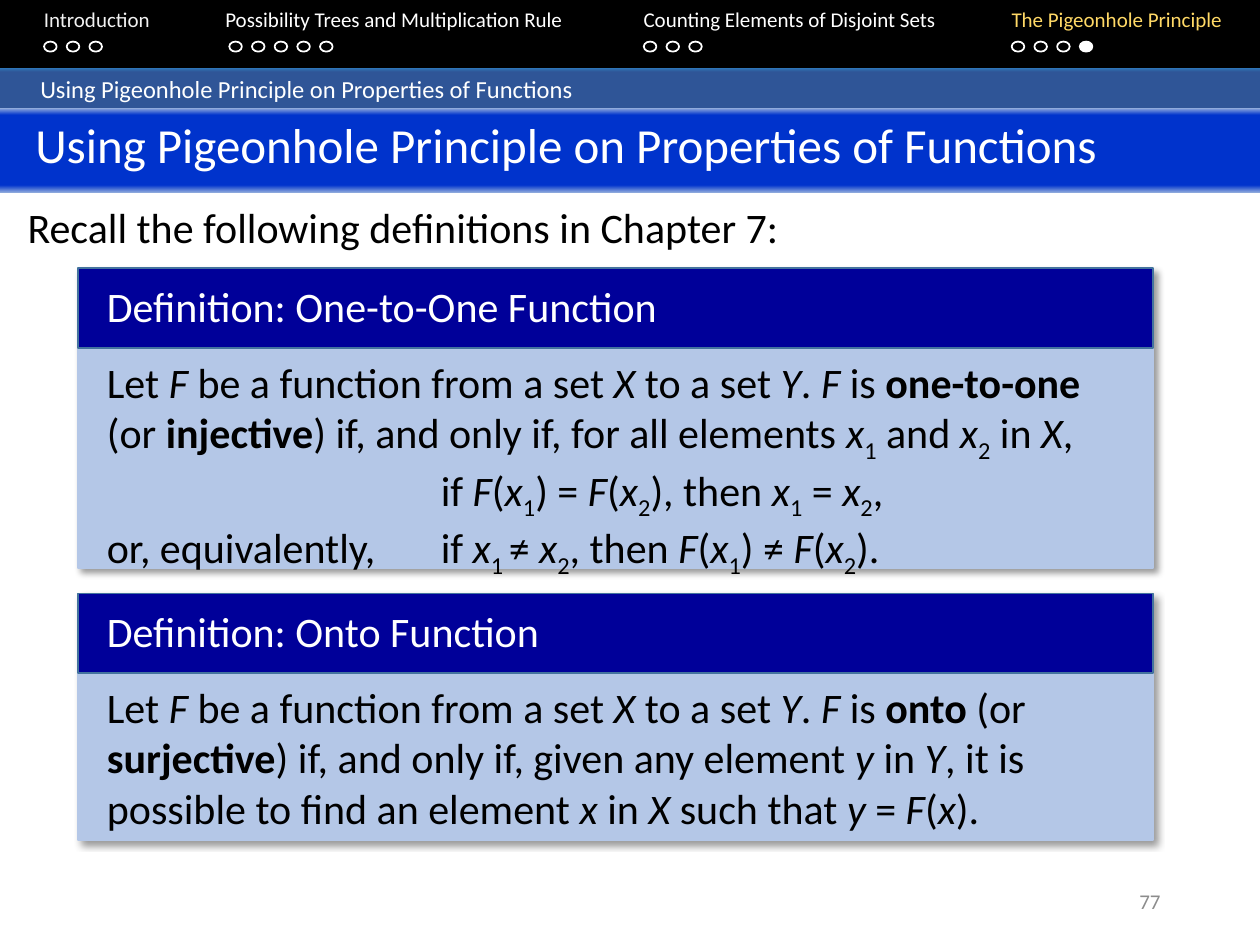
import dataclasses

import lxml.etree
import pptx
import pptx.dml.color
import pptx.enum.shapes
import pptx.enum.text
import pptx.oxml
import pptx.oxml.ns
import pptx.util

SHAPE = pptx.enum.shapes.MSO_SHAPE
ANCHOR = pptx.enum.text.MSO_ANCHOR
ALIGN = pptx.enum.text.PP_ALIGN
qn = pptx.oxml.ns.qn

WIDTH, HEIGHT = pptx.util.Inches(10), pptx.util.Inches(7.5)
COL, ROW = WIDTH / 100, HEIGHT / 75


@dataclasses.dataclass(frozen=True)
class Theme:
    font: str = "Calibri"
    black: str = "000000"
    white: str = "FFFFFF"
    nav_dim: str = "F2F2F2"
    nav_active: str = "FFD966"
    number: str = "8C8C8C"
    panel: str = "B4C7E7"
    heading: str = "000099"
    heading_line: str = "43739E"
    section_bar: tuple = ((0, "2E75B6"), (11, "2F5597"), (91, "2F5597"), (100, "2E75B6"))
    title_bar: tuple = ((0, "8FAADC"), (9, "0033CC"), (92, "0033CC"), (100, "8FAADC"))
    small: int = 12
    section: int = 14
    body: int = 24
    title: int = 28


THEME = Theme()

# label, column of its tab stop, column of its first dot, dots, colour
NAV = [
    ("Introduction", 2.5, 3.5, 3, THEME.nav_dim),
    ("Possibility Trees and Multiplication Rule", 16.9, 18.2, 5, THEME.white),
    ("Counting Elements of Disjoint Sets", 50.1, 51.1, 3, THEME.white),
    ("The Pigeonhole Principle", 79.3, 80.3, 4, THEME.nav_active),
]
TOPIC = "Using Pigeonhole Principle on Properties of Functions"

# In paragraph text, ~ toggles italic, * toggles bold and _ toggles subscript.
ONE_TO_ONE = [
    ("Let ~F~ be a function from a set ~X~ to a set ~Y~. ~F~ is *one-to-one *"
     "(or *injective*) if, and only if, for all elements "
     "~x~_1_ and ~x~_2_ in ~X~,", ()),
    ("\tif ~F~(~x~_1_) = ~F~(~x~_2_), then ~x~_1_ = ~x~_2_,", (26.5,)),
    ("or, equivalently, \tif ~x~_1 _≠ ~x~_2_, then ~F~(~x~_1_) ≠ ~F~(~x~_2_).", (26.5,)),
]
ONTO = [
    ("Let ~F~ be a function from a set ~X~ to a set ~Y~. ~F~ is *onto *"
     "(or *surjective*) if, and only if, given any element ~y~ in ~Y~, it is "
     "possible to find an element ~x~ in ~X~ such that ~y~ = ~F~(~x~).", ()),
]


def grid(left, top, width, height):
    return [round(v) for v in (left * COL, top * ROW, width * COL, height * ROW)]


def rgb(value):
    return pptx.dml.color.RGBColor.from_string(value)


def assign(target, values):
    for name, value in values.items():
        setattr(target, name, value)


def add_run(p, text, size, color, **style):
    r = p.add_run()
    r.text = text
    assign(r.font, {"name": THEME.font, "size": pptx.util.Pt(size), **style})
    r.font.color.rgb = rgb(color)
    return r


def add_marked_runs(p, text, size, color):
    """Split text at its marks and give each piece its italic, bold or subscript."""
    marks = {"~": "italic", "*": "bold", "_": "sub"}
    state = dict.fromkeys(marks.values(), False)
    piece = ""
    for ch in text + "\0":
        if ch not in marks and ch != "\0":
            piece += ch
            continue
        if piece:
            r = add_run(p, piece, size, color, italic=state["italic"], bold=state["bold"])
            if state["sub"]:
                r.font._element.set("baseline", "-25000")
            piece = ""
        if ch in marks:
            state[marks[ch]] = not state[marks[ch]]


def set_tabs(p, columns):
    tabs = lxml.etree.SubElement(p._p.get_or_add_pPr(), qn("a:tabLst"))
    for column in columns:
        lxml.etree.SubElement(tabs, qn("a:tab"), pos=str(round(column * COL)), algn="l")


def format_frame(tf, **values):
    assign(tf, {"word_wrap": True, "auto_size": pptx.enum.text.MSO_AUTO_SIZE.NONE,
                "vertical_anchor": ANCHOR.TOP, **values})
    return tf


def add_text(shapes, box, text="", size=THEME.body, color=THEME.black,
             align=ALIGN.LEFT, **frame):
    tf = format_frame(shapes.add_textbox(*grid(*box)).text_frame, **frame)
    p = tf.paragraphs[0]
    p.alignment = align
    if text:
        add_run(p, text, size, color)
    return tf


def add_shape(shapes, kind, box, fill=None, line=None):
    sp = shapes.add_shape(kind, *grid(*box))
    sp.shadow.inherit = False
    if fill:
        sp.fill.solid()
        sp.fill.fore_color.rgb = rgb(fill)
    else:
        sp.fill.background()
    if line:
        sp.line.color.rgb = rgb(line)
        sp.line.width = pptx.util.Pt(1)
    else:
        sp.line.fill.background()
    return sp


def set_gradient(sp, stops):
    sp.fill.gradient()
    sp.fill.gradient_angle = 90
    stop_list = sp._element.spPr.find(".//" + qn("a:gsLst"))
    for stop in list(stop_list):
        stop_list.remove(stop)
    for percent, color in stops:
        stop = lxml.etree.SubElement(stop_list, qn("a:gs"), pos=str(percent * 1000))
        lxml.etree.SubElement(stop, qn("a:srgbClr"), val=color)


def set_shadow(sp):
    effects = sp._element.spPr.find(qn("a:effectLst"))
    shadow = lxml.etree.SubElement(
        effects, qn("a:outerShdw"), blurRad=str(pptx.util.Pt(4)),
        dist=str(pptx.util.Pt(3)), dir="2700000", algn="tl", rotWithShape="0")
    color = lxml.etree.SubElement(shadow, qn("a:srgbClr"), val=THEME.black)
    lxml.etree.SubElement(color, qn("a:alpha"), val="40000")


def fill_bar(sp, stops, text, size, indent):
    set_gradient(sp, stops)
    tf = format_frame(sp.text_frame, margin_left=round(indent * COL))
    p = tf.paragraphs[0]
    p.alignment = ALIGN.LEFT
    add_run(p, text, size, THEME.white)


def add_navigation(shapes):
    add_shape(shapes, SHAPE.RECTANGLE, (0, -0.2, 100, 5.6), THEME.black)
    p = add_text(shapes, (0, 0, 100, 5)).paragraphs[0]
    set_tabs(p, [tab for _, tab, *_ in NAV])
    for label, _, first, count, color in NAV:
        add_run(p, "\t" + label, THEME.small, color)
        for i in range(count):
            current = label == NAV[-1][0] and i == count - 1
            add_shape(shapes, SHAPE.OVAL, (first + 1.8 * i, 3.3, 1, 0.8),
                      THEME.white if current else None, THEME.white)


def add_title(slide):
    title = slide.shapes.title
    assign(title, dict(zip(("left", "top", "width", "height"), grid(0, 8.6, 100, 6.7))))
    fill_bar(title, THEME.title_bar, TOPIC, THEME.title, 2.8)
    slide.shapes._spTree.append(title._element)  # in front of the section bar


def add_definition(slide, top, height, heading, paragraphs):
    shapes = slide.shapes.add_group_shape().shapes
    set_shadow(add_shape(shapes, SHAPE.RECTANGLE, (6.2, top, 85.3, height),
                         THEME.panel, THEME.panel))
    add_shape(shapes, SHAPE.RECTANGLE, (6.2, top, 85.3, 6.3),
              THEME.heading, THEME.heading_line)
    add_text(shapes, (7.5, top + 0.5, 57.6, 5), heading, color=THEME.white)
    tf = add_text(shapes, (7.5, top + 6.5, 82.3, height - 6.5))
    for i, (text, tabs) in enumerate(paragraphs):
        p = tf.add_paragraph() if i else tf.paragraphs[0]
        if tabs:
            set_tabs(p, tabs)
        add_marked_runs(p, text, THEME.body, THEME.black)


def main():
    prs = pptx.Presentation()
    assign(prs, {"slide_width": WIDTH, "slide_height": HEIGHT})
    slide = prs.slides.add_slide(prs.slide_layouts.get_by_name("Title Only"))
    shapes = slide.shapes
    add_navigation(shapes)
    section = add_shape(shapes, SHAPE.RECTANGLE, (0, 5.4, 100, 3.6))
    fill_bar(section, THEME.section_bar, TOPIC, THEME.section, 3.2)
    add_title(slide)
    add_text(shapes, (1.2, 15.5, 86.9, 6.1), "Recall the following definitions in Chapter 7:")
    add_definition(slide, 21.3, 23.8, "Definition: One-to-One Function", ONE_TO_ONE)
    add_definition(slide, 47.1, 19.6, "Definition: Onto Function", ONTO)
    add_text(shapes, (70.6, 69.5, 22.5, 4), "77", THEME.small, THEME.number,
             ALIGN.RIGHT, vertical_anchor=ANCHOR.MIDDLE)
    prs.save("out.pptx")


if __name__ == "__main__":
    main()
